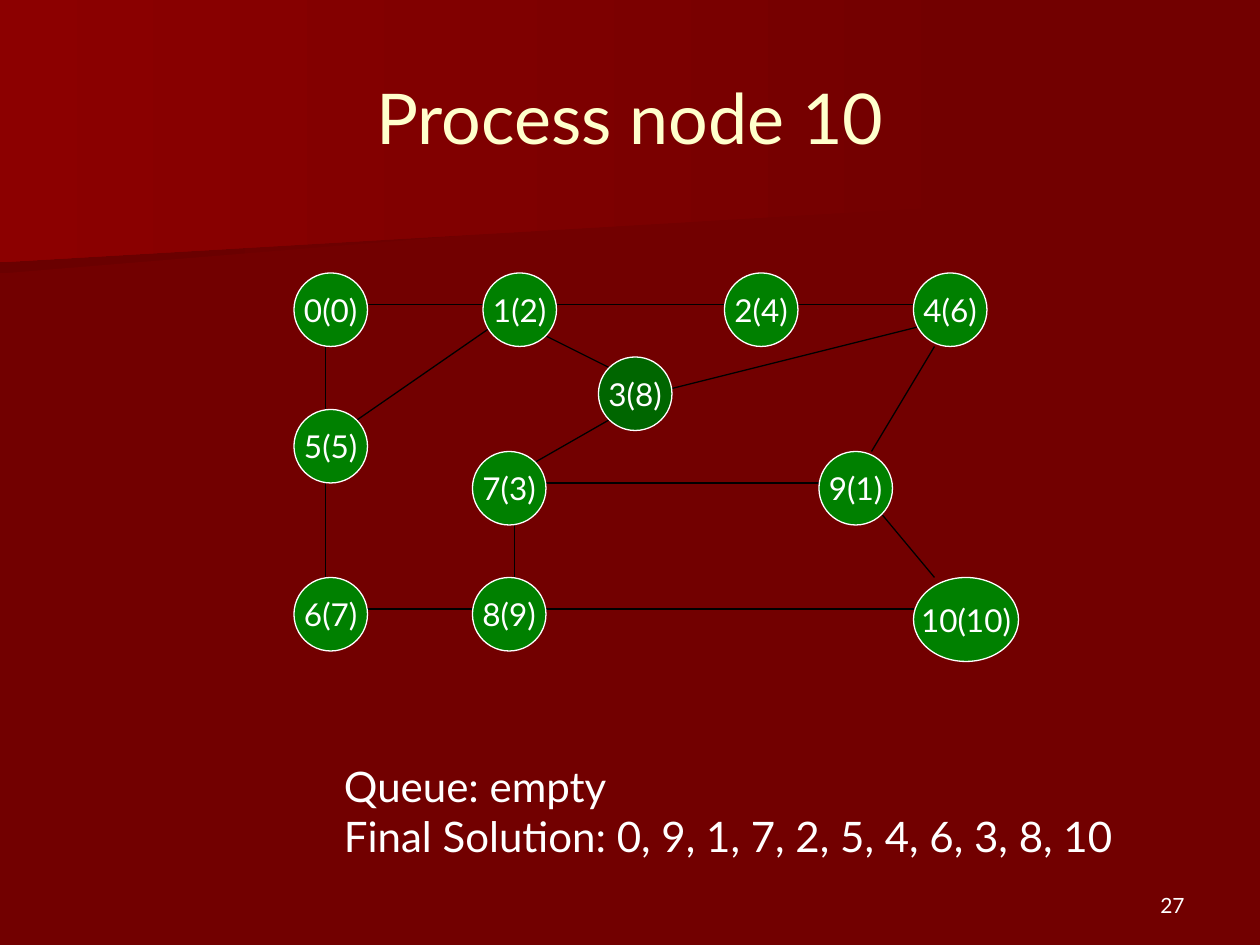
import pptx
import pptx.util
import pptx.dml.color
import pptx.enum.shapes
import pptx.enum.text
import pptx.oxml.ns
import lxml.etree

Pt = pptx.util.Pt
RGB = pptx.dml.color.RGBColor
ALIGN = pptx.enum.text.PP_ALIGN
ANCHOR = pptx.enum.text.MSO_ANCHOR

FONT = "Lato"
MAROON = RGB(0x72, 0x00, 0x00)
DARK_RED = RGB(0x6A, 0x00, 0x00)
RED = RGB(0x8C, 0x00, 0x00)
GREEN = RGB(0x00, 0x80, 0x00)
DARK_GREEN = RGB(0x00, 0x66, 0x00)
CREAM = RGB(0xFF, 0xFF, 0xCC)
WHITE = RGB(0xFF, 0xFF, 0xFF)
BLACK = RGB(0x00, 0x00, 0x00)

NODE_SIZE = (42, 42)
WIDE_SIZE = (60, 48)

BANDS = [
    ([(560.2, 110.2), (0, 156.2), (0, 72.7), (560.9, 72.7), (560.2, 92.2)], DARK_RED),
    ([(570.2, 116.6), (0, 149.8), (0, 0), (570.2, 0)], RED),
]

NODES = [
    ("0(0)", 168, 156, NODE_SIZE, GREEN),
    ("1(2)", 276, 156, NODE_SIZE, GREEN),
    ("2(4)", 414, 156, NODE_SIZE, GREEN),
    ("3(8)", 342, 204, NODE_SIZE, DARK_GREEN),
    ("4(6)", 522, 156, NODE_SIZE, GREEN),
    ("5(5)", 168, 234, NODE_SIZE, GREEN),
    ("6(7)", 168, 330, NODE_SIZE, GREEN),
    ("7(3)", 270, 258, NODE_SIZE, GREEN),
    ("8(9)", 270, 330, NODE_SIZE, GREEN),
    ("9(1)", 468, 258, NODE_SIZE, GREEN),
    ("10(10)", 522, 330, WIDE_SIZE, GREEN),
]

EDGES = [
    (210, 174, 276, 174),
    (318, 174, 414, 174),
    (456, 174, 522, 174),
    (186, 198, 186, 234),
    (186, 276, 186, 330),
    (282, 186, 204, 240),
    (312, 192, 348, 210),
    (528, 186, 384, 222),
    (534, 198, 498, 258),
    (306, 264, 348, 240),
    (468, 276, 312, 276),
    (294, 300, 294, 330),
    (504, 294, 534, 330),
    (210, 348, 270, 348),
    (522, 348, 312, 348),
]

TEXTS = [
    (["Process node 10"], (36, 21.6, 648, 90), 40, CREAM, ALIGN.CENTER, ANCHOR.MIDDLE, True),
    (["Queue: empty", "Final Solution: 0, 9, 1, 7, 2, 5, 4, 6, 3, 8, 10"],
     (189.5, 430.8, 471, 64.8), 24, WHITE, ALIGN.LEFT, ANCHOR.TOP, False),
    (["27"], (516, 492, 168, 36), 12, WHITE, ALIGN.RIGHT, ANCHOR.BOTTOM, True),
]


def write(sp, lines, size, color, align, anchor, wrap):
    tf = sp.text_frame
    tf.word_wrap = wrap
    tf.vertical_anchor = anchor
    p = tf.paragraphs[0]
    p.alignment = align
    for i, line in enumerate(lines):
        if i:
            p.add_line_break()
        r = p.add_run()
        r.text = line
        r.font.name = FONT
        r.font.size = Pt(size)
        r.font.color.rgb = color


def add_band(s, points, end_color):
    corners = [(Pt(x), Pt(y)) for x, y in points]
    builder = s.shapes.build_freeform(*corners[0])
    builder.add_line_segments(corners[1:], close=True)
    sp = builder.convert_to_shape()
    sp.shadow.inherit = False
    sp.line.fill.background()
    sp.fill.gradient()
    sp.fill.gradient_angle = 180
    for stop, color in zip(sp.fill.gradient_stops, (MAROON, end_color)):
        stop.color.rgb = color


def add_edge(s, ends):
    kind = pptx.enum.shapes.MSO_CONNECTOR.STRAIGHT
    line = s.shapes.add_connector(kind, *map(Pt, ends))
    line.line.color.rgb = BLACK
    line.line.width = Pt(0.75)
    lxml.etree.SubElement(line._element.spPr, pptx.oxml.ns.qn("a:effectLst"))


def add_node(s, label, x, y, size, color):
    oval = pptx.enum.shapes.MSO_SHAPE.OVAL
    sp = s.shapes.add_shape(oval, *map(Pt, (x, y, *size)))
    sp.shadow.inherit = False
    sp.fill.solid()
    sp.fill.fore_color.rgb = color
    sp.line.color.rgb = WHITE
    sp.line.width = Pt(0.75)
    write(sp, [label], 18, WHITE, ALIGN.CENTER, ANCHOR.MIDDLE, False)


def main():
    prs = pptx.Presentation()
    prs.slide_width, prs.slide_height = Pt(720), Pt(540)
    s = prs.slides.add_slide(prs.slide_layouts[6])
    s.background.fill.solid()
    s.background.fill.fore_color.rgb = MAROON
    for band in BANDS:
        add_band(s, *band)
    for ends in EDGES:
        add_edge(s, ends)
    for node in NODES:
        add_node(s, *node)
    for lines, box, *style in TEXTS:
        write(s.shapes.add_textbox(*map(Pt, box)), lines, *style)
    prs.save("out.pptx")


if __name__ == "__main__":
    main()
